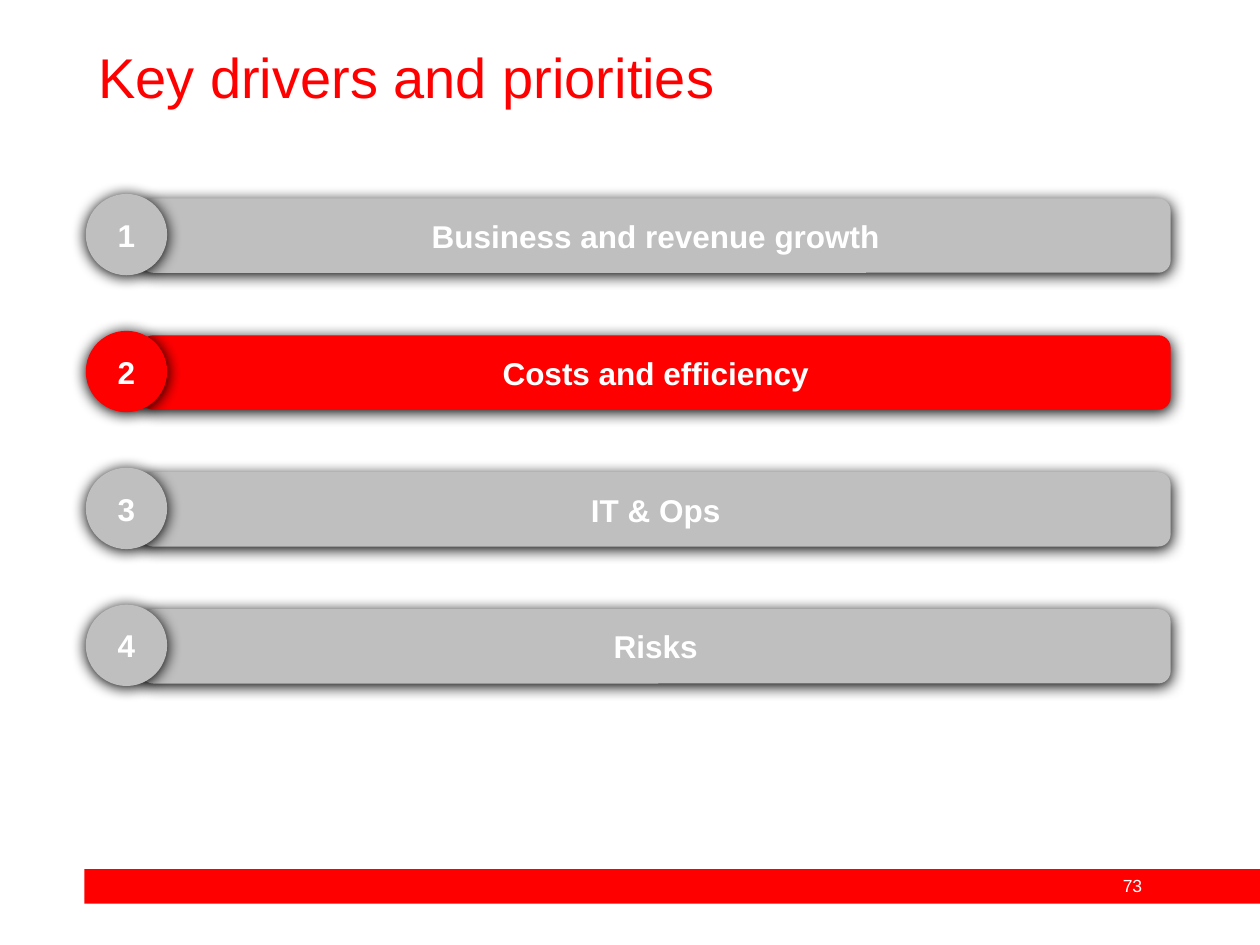
from lxml import etree
from pptx import Presentation
from pptx import util as u
from pptx.dml.color import RGBColor
from pptx.enum import shapes, text
from pptx.oxml.ns import qn

COLOURS = {"red": "FF0000", "grey": "BFBFBF", "white": "FFFFFF", "black": "000000"}
DRIVERS = ["Business and revenue growth", "Costs and efficiency", "IT & Ops", "Risks"]
HIGHLIGHTED = 2
FIRST_TOP, PITCH = 3.91, 2.76
CENTRE = text.PP_ALIGN.CENTER


def write(shape, words, size, colour, align, bold=False):
    shape.text_frame.word_wrap = True
    paragraph = shape.text_frame.paragraphs[0]
    paragraph.alignment = align
    run = paragraph.add_run()
    run.text = words
    run.font.name = "Arial"
    run.font.size = u.Pt(size)
    run.font.bold = bold
    run.font.color.rgb = RGBColor.from_string(COLOURS[colour])
    return paragraph


def add_filled(kind, box, colour, shadow=False):
    """Add a borderless shape, box in centimetres, with an optional soft shadow."""
    shape = slide.shapes.add_shape(kind, *[u.Cm(length) for length in box])
    shape.fill.solid()
    shape.fill.fore_color.rgb = RGBColor.from_string(COLOURS[colour])
    shape.line.fill.background()
    shape.shadow.inherit = False
    if shadow:
        effects = shape._element.spPr.find(qn("a:effectLst"))
        outer = etree.SubElement(effects, qn("a:outerShdw"), blurRad=str(u.Pt(8.5)),
                                 dist=str(u.Pt(1)), dir="5400000", rotWithShape="0")
        etree.SubElement(outer, qn("a:srgbClr"), val=COLOURS["black"])
    return shape


presentation = Presentation()
presentation.slide_width = u.Cm(25.4)
presentation.slide_height = u.Cm(19.05)
slide = presentation.slides.add_slide(presentation.slide_layouts[6])

# Footer band and page number
add_filled(shapes.MSO_SHAPE.RECTANGLE, (1.7, 17.52, 23.7, 0.7), "red")
page_number = slide.shapes.add_textbox(u.Cm(22.12), u.Cm(17.52), u.Cm(1.42), u.Cm(0.69))
write(page_number, "73", 10, "white", CENTRE)

# Title
title = slide.shapes.add_textbox(u.Cm(1.73), u.Cm(0.89), u.Cm(21.9), u.Cm(1.45))
paragraph = write(title, "Key drivers and priorities", 32, "red", text.PP_ALIGN.LEFT)
paragraph.line_spacing = 0.9

# Numbered drivers: a bar with a circle over its left end
for number, driver in enumerate(DRIVERS, start=1):
    top = FIRST_TOP + (number - 1) * PITCH
    colour = "red" if number == HIGHLIGHTED else "grey"
    parts = [
        (shapes.MSO_SHAPE.ROUNDED_RECTANGLE, (2.84, top + 0.09, 20.76, 1.5), driver),
        (shapes.MSO_SHAPE.OVAL, (1.73, top, 1.64, 1.64), str(number)),
    ]
    for kind, box, words in parts:
        shape = add_filled(kind, box, colour, shadow=True)
        shape.text_frame.vertical_anchor = text.MSO_ANCHOR.MIDDLE
        write(shape, words, 18, "white", CENTRE, bold=True)

presentation.save("out.pptx")
